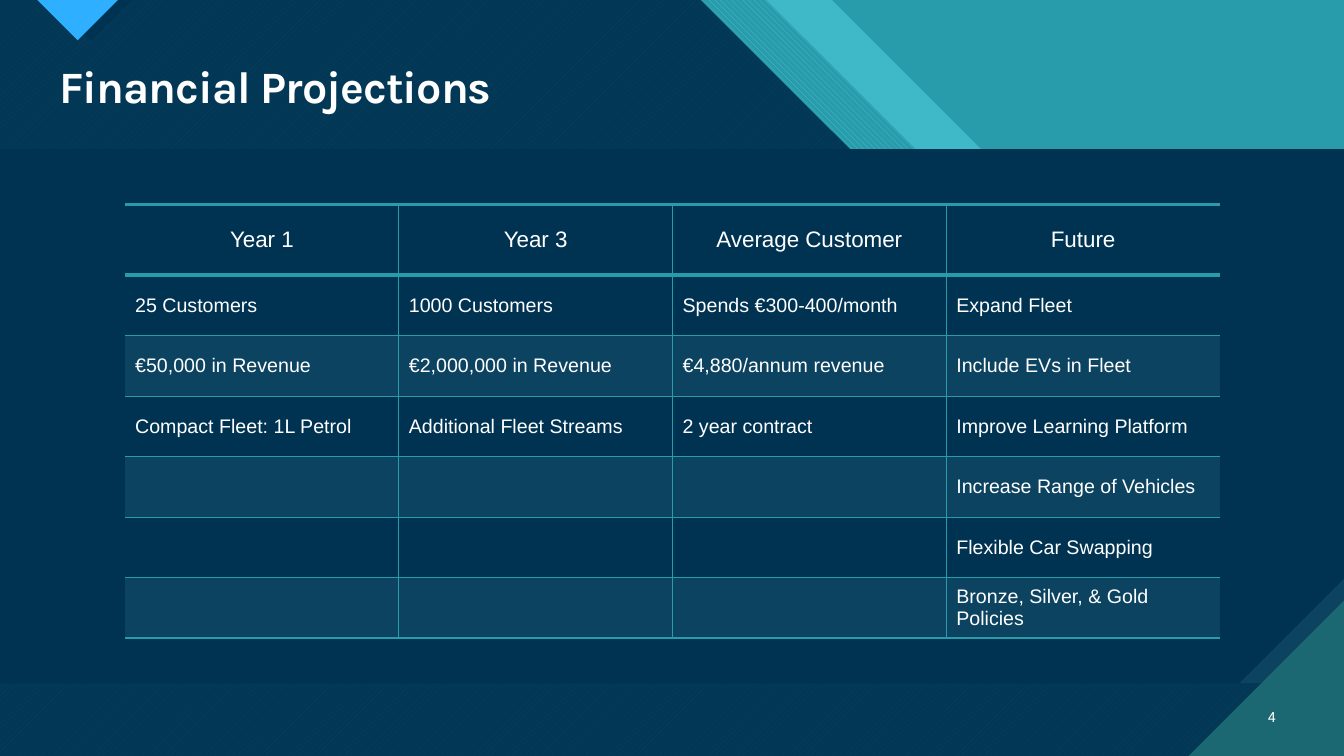
from dataclasses import dataclass

import pptx
import pptx.util
import pptx.dml.color
import pptx.enum.dml
import pptx.enum.shapes
import pptx.enum.text
import pptx.oxml
import pptx.oxml.ns

Inches, Pt = pptx.util.Inches, pptx.util.Pt
ALIGN = pptx.enum.text.PP_ALIGN
MIDDLE = pptx.enum.text.MSO_ANCHOR.MIDDLE
PATTERN = pptx.enum.dml.MSO_PATTERN
W, H = 13.33, 7.5
HEADER_H, PANEL_H = 1.48, 5.3


@dataclass(frozen=True)
class Theme:
    navy: str = "003352"
    band: str = "0C4360"
    teal: str = "299CAB"
    aqua: str = "47C3D3"
    deep_teal: str = "1B6872"
    blue: str = "2FAFFF"
    white: str = "FFFFFF"
    title_font: str = "Karla"
    body_font: str = "Arial"
    number_font: str = "Roboto"
    title_size: int = 32
    head_size: int = 16
    body_size: int = 14
    number_size: int = 10


def rgb(color):
    return pptx.dml.color.RGBColor.from_string(color)


class SlideBuilder:
    def __init__(self, prs, theme):
        self.theme = theme
        self.s = prs.slides.add_slide(prs.slide_layouts[5])

    def background(self, color):
        fill = self.s.background.fill
        fill.solid()
        fill.fore_color.rgb = rgb(color)

    def polygon(self, points, color, alpha=100, pattern=None, back=None):
        """Draw a closed outline; pattern uses color on back."""
        pts = [(Inches(x), Inches(y)) for x, y in points]
        builder = self.s.shapes.build_freeform(*pts[0], scale=1.0)
        builder.add_line_segments(pts[1:], close=True)
        sp = builder.convert_to_shape()
        sp.shadow.inherit = False
        sp.line.fill.background()
        if pattern:
            sp.fill.patterned()
            sp.fill.pattern = pattern
            sp.fill.back_color.rgb = rgb(back)
        else:
            sp.fill.solid()
        sp.fill.fore_color.rgb = rgb(color)
        if alpha < 100:
            clr = sp._element.spPr.find(".//" + pptx.oxml.ns.qn("a:srgbClr"))
            clr.append(pptx.oxml.parse_xml(
                f'<a:alpha {pptx.oxml.ns.nsdecls("a")} val="{alpha * 1000}"/>'))

    def run(self, p, text, font, size, bold=False):
        r = p.add_run()
        r.text = text
        r.font.name, r.font.size, r.font.bold = font, Pt(size), bold
        r.font.color.rgb = rgb(self.theme.white)
        return r

    def title(self, text, x, y, w, h):
        sp = self.s.shapes.title
        sp.left, sp.top, sp.width, sp.height = map(Inches, (x, y, w, h))
        self.s.shapes._spTree.append(sp._element)  # bring to front
        tf = sp.text_frame
        tf.word_wrap, tf.vertical_anchor = True, MIDDLE
        p = tf.paragraphs[0]
        p.alignment, p.line_spacing = ALIGN.LEFT, 0.9
        r = self.run(p, text, self.theme.title_font, self.theme.title_size, True)
        r.font._element.set("spc", "-70")

    def page_number(self, text, x, y, w, h):
        tf = self.s.shapes.add_textbox(*map(Inches, (x, y, w, h))).text_frame
        tf.word_wrap, tf.vertical_anchor = True, MIDDLE
        p = tf.paragraphs[0]
        p.alignment = ALIGN.RIGHT
        self.run(p, text, self.theme.number_font, self.theme.number_size)

    def border(self, cell, side, width):
        """Set one cell edge; a width of 0 hides it."""
        ns = pptx.oxml.ns.nsdecls("a")
        fill = (f'<a:solidFill><a:srgbClr val="{self.theme.teal}"/></a:solidFill>'
                if width else "<a:noFill/>")
        cell._tc.get_or_add_tcPr().append(pptx.oxml.parse_xml(
            f'<a:ln{side} {ns} w="{Pt(width)}">{fill}</a:ln{side}>'))

    def table(self, rows, x, y, col_w, head_h, row_h):
        n_rows, n_cols = len(rows), len(rows[0])
        height = head_h + row_h * (n_rows - 1)
        table = self.s.shapes.add_table(
            n_rows, n_cols, Inches(x), Inches(y),
            Inches(col_w * n_cols), Inches(height)).table
        table.first_row = table.horz_banding = False
        for col in table.columns:
            col.width = Inches(col_w)
        for i, texts in enumerate(rows):
            head = i == 0
            table.rows[i].height = Inches(head_h if head else row_h)
            for j, text in enumerate(texts):
                cell = table.cell(i, j)
                self.border(cell, "L", 1 if j else 0)
                self.border(cell, "R", 1 if j < n_cols - 1 else 0)
                self.border(cell, "T", 3 if i < 2 else 1)
                self.border(cell, "B", 3 if head else 1)
                if i and i % 2 == 0:
                    cell.fill.solid()
                    cell.fill.fore_color.rgb = rgb(self.theme.band)
                else:
                    cell.fill.background()
                cell.vertical_anchor = MIDDLE
                p = cell.text_frame.paragraphs[0]
                p.alignment = ALIGN.CENTER if head else ALIGN.LEFT
                if text:
                    size = self.theme.head_size if head else self.theme.body_size
                    self.run(p, text, self.theme.body_font, size)


def stepped_outline(top_x, step_x):
    """Outline from the left edge with two 45-degree slopes on its right."""
    step = 2.97
    return [(0, 0), (top_x, 0), (top_x + step, step), (step_x, step),
            (W, step + W - step_x), (W, H), (0, H)]


def draw_backdrop(b, t):
    b.background(t.teal)
    b.polygon(stepped_outline(8.25, 12.34), t.aqua, alpha=74)
    b.polygon(stepped_outline(7.6, 11.84), t.aqua,
              pattern=PATTERN.WIDE_DOWNWARD_DIAGONAL, back=t.teal)
    dark = stepped_outline(6.95, 11.18)
    b.polygon(dark, t.aqua, pattern=PATTERN.WIDE_UPWARD_DIAGONAL, back=t.deep_teal)
    b.polygon(dark, t.navy, alpha=90)
    b.polygon([(0.48, 0), (0.9, 0.41), (1.31, 0)], t.navy)
    b.polygon([(0.37, 0), (0.77, 0.4), (1.17, 0)], t.blue)
    bottom, snip = HEADER_H + PANEL_H, 1.04
    b.polygon([(0, HEADER_H), (W, HEADER_H), (W, bottom), (0, bottom)], t.band)
    b.polygon([(0, HEADER_H), (W, HEADER_H), (W, bottom - snip),
               (W - snip, bottom), (0, bottom)], t.navy)
    corner = 1.54
    b.polygon([(W - corner, H), (W, H), (W, H - corner)], t.deep_teal)


PROJECTIONS = [
    ["Year 1", "Year 3", "Average Customer", "Future"],
    ["25 Customers", "1000 Customers", "Spends €300-400/month", "Expand Fleet"],
    ["€50,000 in Revenue", "€2,000,000 in Revenue", "€4,880/annum revenue",
     "Include EVs in Fleet"],
    ["Compact Fleet: 1L Petrol", "Additional Fleet Streams", "2 year contract",
     "Improve Learning Platform"],
    ["", "", "", "Increase Range of Vehicles"],
    ["", "", "", "Flexible Car Swapping"],
    ["", "", "", "Bronze, Silver, & Gold Policies"],
]


def main():
    prs = pptx.Presentation()
    prs.slide_width, prs.slide_height = Inches(W), Inches(H)
    theme = Theme()
    b = SlideBuilder(prs, theme)
    draw_backdrop(b, theme)
    b.title("Financial Projections", 0.49, 0.59, 12.26, 0.59)
    b.table(PROJECTIONS, 1.24, 2.03, col_w=2.715, head_h=0.7, row_h=0.6)
    b.page_number("4", 12.31, 6.91, 0.44, 0.4)
    prs.save("out.pptx")


if __name__ == "__main__":
    main()
